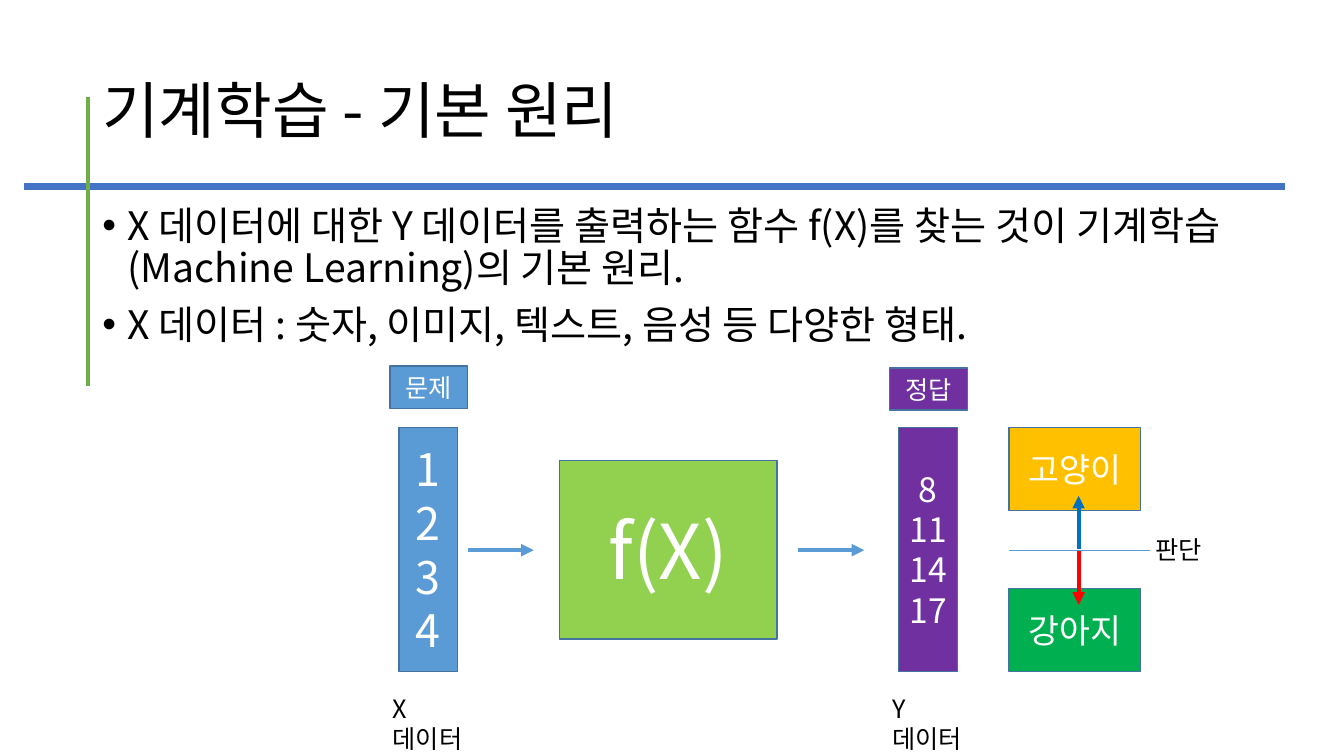
from dataclasses import dataclass

from lxml import etree
from pptx import Presentation
from pptx.dml.color import RGBColor
from pptx.enum.shapes import MSO_CONNECTOR, MSO_SHAPE
from pptx.enum.text import MSO_ANCHOR, PP_ALIGN
from pptx.oxml.ns import qn
from pptx.util import Pt

STRAIGHT = MSO_CONNECTOR.STRAIGHT
RECTANGLE = MSO_SHAPE.RECTANGLE
TOP, MIDDLE = MSO_ANCHOR.TOP, MSO_ANCHOR.MIDDLE
LEFT, CENTER = PP_ALIGN.LEFT, PP_ALIGN.CENTER


@dataclass(frozen=True)
class Theme:
    font: str = "Noto Sans CJK KR"
    black: str = "000000"
    white: str = "FFFFFF"
    outline: str = "43739E"
    sky: str = "5B9BD5"
    purple: str = "7030A0"
    lime: str = "92D050"
    amber: str = "FFC000"
    green: str = "00B050"
    blue: str = "0070C0"
    red: str = "FF0000"
    title_rule: str = "4472C4"
    side_rule: str = "70AD47"
    formula_size: int = 54
    title_size: int = 44
    input_size: int = 32
    body_size: int = 28
    box_size: int = 24
    label_size: int = 18


class SlideBuilder:
    def __init__(self, slide, theme):
        self.slide = slide
        self.theme = theme

    def fill_text(self, frame, lines, size, color, align=LEFT, anchor=TOP,
                  spacing=1.0, bullets=False):
        frame.word_wrap = True
        frame.vertical_anchor = anchor
        for index, line in enumerate(lines):
            paragraph = frame.paragraphs[0] if index == 0 else frame.add_paragraph()
            paragraph.alignment = align
            paragraph.line_spacing = spacing
            if bullets:
                if index:
                    paragraph.space_before = Pt(10)
                self.add_bullet(paragraph)
            run = paragraph.add_run()
            run.text = line
            run.font.size = Pt(size)
            run.font.name = self.theme.font
            run.font.color.rgb = RGBColor.from_string(color)
            east_asian = etree.SubElement(run.font._element, qn("a:ea"))
            east_asian.set("typeface", self.theme.font)

    def add_bullet(self, paragraph):
        properties = paragraph._p.get_or_add_pPr()
        properties.set("marL", str(Pt(18)))
        properties.set("indent", str(-Pt(18)))
        etree.SubElement(properties, qn("a:buFont")).set("typeface", "Arial")
        etree.SubElement(properties, qn("a:buChar")).set("char", "•")

    def text(self, left, top, width, height, lines, size, **style):
        box = self.slide.shapes.add_textbox(Pt(left), Pt(top), Pt(width), Pt(height))
        self.fill_text(box.text_frame, lines, size, self.theme.black, **style)

    def block(self, left, top, width, height, lines, size, fill):
        shape = self.slide.shapes.add_shape(
            RECTANGLE, Pt(left), Pt(top), Pt(width), Pt(height))
        shape.shadow.inherit = False
        shape.fill.solid()
        shape.fill.fore_color.rgb = RGBColor.from_string(fill)
        shape.line.color.rgb = RGBColor.from_string(self.theme.outline)
        shape.line.width = Pt(1)
        self.fill_text(shape.text_frame, lines, size, self.theme.white, CENTER, MIDDLE)

    def line(self, start, end, color, width, arrow=False):
        connector = self.slide.shapes.add_connector(
            STRAIGHT, *(Pt(value) for value in (*start, *end)))
        connector.line.color.rgb = RGBColor.from_string(color)
        connector.line.width = Pt(width)
        if arrow:
            outline = connector.line._get_or_add_ln()
            etree.SubElement(outline, qn("a:tailEnd")).set("type", "triangle")
        etree.SubElement(connector._element.spPr, qn("a:effectLst"))


def main():
    presentation = Presentation()
    presentation.slide_width, presentation.slide_height = Pt(960), Pt(540)
    slide = presentation.slides.add_slide(presentation.slide_layouts[6])
    theme = Theme()
    builder = SlideBuilder(slide, theme)

    builder.text(66, 28.8, 828, 104.4, ["기계학습 - 기본 원리"],
                 theme.title_size, anchor=MIDDLE, spacing=0.9)
    builder.text(66, 144, 828, 342.7, [
        "X 데이터에 대한 Y 데이터를 출력하는 함수 f(X)를 찾는 것이 "
        "기계학습(Machine Learning)의 기본 원리.",
        "X 데이터 : 숫자, 이미지, 텍스트, 음성 등 다양한 형태.",
    ], theme.body_size, spacing=0.9, bullets=True)

    builder.block(399.6, 329, 155.5, 127.4, ["f(X)"], theme.formula_size, theme.lime)

    columns = [
        (285, 261.4, "문제", "X 데이터", ["1", "2", "3", "4"], theme.input_size, theme.sky),
        (642, 262.8, "정답", "Y 데이터", ["8", "11", "14", "17"], theme.box_size, theme.purple),
    ]
    for left, tag_top, tag, caption, values, size, fill in columns:
        builder.block(left, 305.3, 42, 174.2, values, size, fill)
        builder.block(left - 6.5, tag_top, 55.5, 30.2, [tag], theme.label_size, fill)
        builder.text(left - 11.5, 491.8, 70.6, 23.8, [caption], theme.label_size)

    for left in (334, 570):
        builder.line((left, 393), (left + 47.3, 393), theme.sky, 3, arrow=True)

    for top, animal, fill in ((305.3, "고양이", theme.amber), (420.3, "강아지", theme.green)):
        builder.block(720.7, top, 93.8, 59.5, [animal], theme.box_size, fill)

    builder.line((720.7, 393), (821.5, 393), theme.sky, 0.5)
    for start, end, color in ((392.4, 354.2, theme.blue), (393.8, 432, theme.red)):
        builder.line((770.5, start), (770.5, end), color, 3, arrow=True)
    builder.text(818, 378, 51.2, 28.8, ["판단"], theme.label_size)

    builder.line((17.3, 133.2), (918, 133.2), theme.title_rule, 4.5)
    builder.line((62.6, 69.1), (62.6, 275.8), theme.side_rule, 3)
    presentation.save("out.pptx")


if __name__ == "__main__":
    main()
